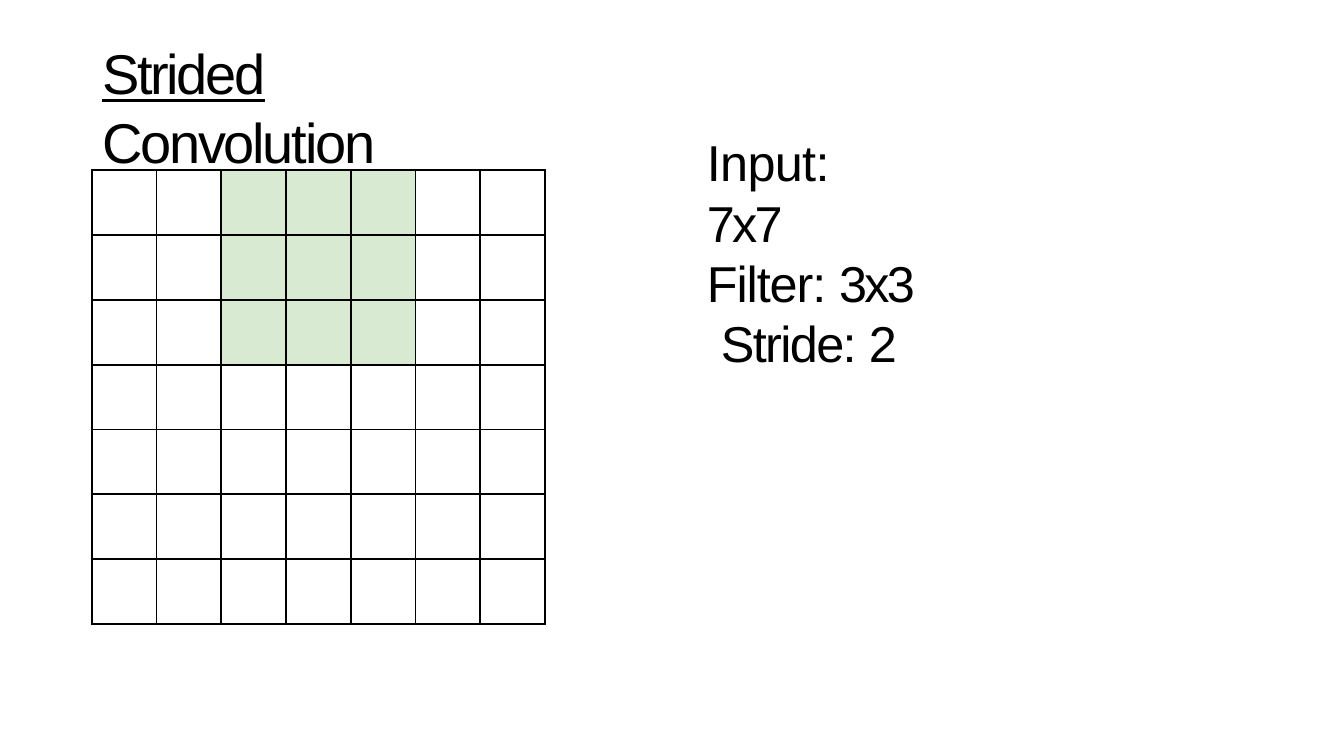
from dataclasses import dataclass

from lxml import etree
from pptx import Presentation
from pptx.dml.color import RGBColor
from pptx.enum.text import MSO_ANCHOR
from pptx.oxml.ns import qn
from pptx.slide import Slide
from pptx.table import _Cell
from pptx.util import Pt

TOP = MSO_ANCHOR.TOP
FONT = "Arial"
BLACK = "000000"
GREEN = "D9EAD3"
GRID_SIZE = 7
GRID_LENGTH = 324
FILTER_ROWS = range(0, 3)
FILTER_COLS = range(2, 5)


@dataclass
class Span:
    text: str
    spacing: float
    underline: bool = False


@dataclass
class Line:
    spans: list[Span]
    indent: float = 1
    space_before: float = 0


@dataclass
class TextBlock:
    left: float
    top: float
    width: float
    height: float
    inset_top: float
    size: float
    lines: list[Line]
    line_spacing: float | None = None


TEXT_BLOCKS = [
    TextBlock(72, 25.9, 319.7, 49.7, 1.7, 40, [
        Line([Span("Strided", -1.7, True)]),
        Line([Span("Convolution", -1.6)], space_before=1),
    ]),
    TextBlock(504, 88.6, 149.8, 131, 5.5, 36, [
        Line([Span("Input:", -0.5)]),
        Line([Span("7x7", -2)]),
        Line([Span("Filter: ", -0.8), Span("3x3", -2)]),
        Line([Span("Stride: ", -1.2), Span("2", -1.8)], indent=11),
    ], line_spacing=43),
]


def rgb(color: str) -> RGBColor:
    return RGBColor.from_string(color)


def add_text(s: Slide, block: TextBlock) -> None:
    sp = s.shapes.add_textbox(
        Pt(block.left), Pt(block.top), Pt(block.width), Pt(block.height))
    tf = sp.text_frame
    tf.word_wrap = True
    tf.vertical_anchor = TOP
    tf.margin_left = tf.margin_right = tf.margin_bottom = 0
    tf.margin_top = Pt(block.inset_top)
    for i, line in enumerate(block.lines):
        p = tf.add_paragraph() if i else tf.paragraphs[0]
        p._p.get_or_add_pPr().set("marL", str(Pt(line.indent)))
        if block.line_spacing:
            p.line_spacing = Pt(block.line_spacing)
        if line.space_before:
            p.space_before = Pt(line.space_before)
        p.font.name = FONT
        p.font.size = Pt(block.size)
        p.font.color.rgb = rgb(BLACK)
        for span in line.spans:
            r = p.add_run()
            r.text = span.text
            if span.underline:
                r.font.underline = True
            r._r.get_or_add_rPr().set("spc", str(round(span.spacing * 100)))


def add_borders(cell: _Cell, color: str, width: float) -> None:
    tc_pr = cell._tc.get_or_add_tcPr()
    for side in ("a:lnL", "a:lnR", "a:lnT", "a:lnB"):
        ln = etree.SubElement(tc_pr, qn(side), w=str(Pt(width)))
        fill = etree.SubElement(ln, qn("a:solidFill"))
        etree.SubElement(fill, qn("a:srgbClr"), val=color)


def add_input_grid(s: Slide, left: float, top: float) -> None:
    table = s.shapes.add_table(
        GRID_SIZE, GRID_SIZE, Pt(left), Pt(top),
        Pt(GRID_LENGTH), Pt(GRID_LENGTH)).table
    table.first_row = False
    table.horz_banding = False
    for i in range(GRID_SIZE):
        table.columns[i].width = Pt(GRID_LENGTH / GRID_SIZE)
        table.rows[i].height = Pt(GRID_LENGTH / GRID_SIZE)
        for j in range(GRID_SIZE):
            cell = table.cell(i, j)
            add_borders(cell, BLACK, 1.5)
            if i in FILTER_ROWS and j in FILTER_COLS:
                cell.fill.solid()
                cell.fill.fore_color.rgb = rgb(GREEN)
            else:
                cell.fill.background()


def main() -> None:
    prs = Presentation()
    prs.slide_width = Pt(960)
    prs.slide_height = Pt(540)
    s = prs.slides.add_slide(prs.slide_layouts[6])
    title, settings = TEXT_BLOCKS
    add_text(s, title)
    add_input_grid(s, 65.5, 121.7)
    add_text(s, settings)
    prs.save("out.pptx")


if __name__ == "__main__":
    main()
